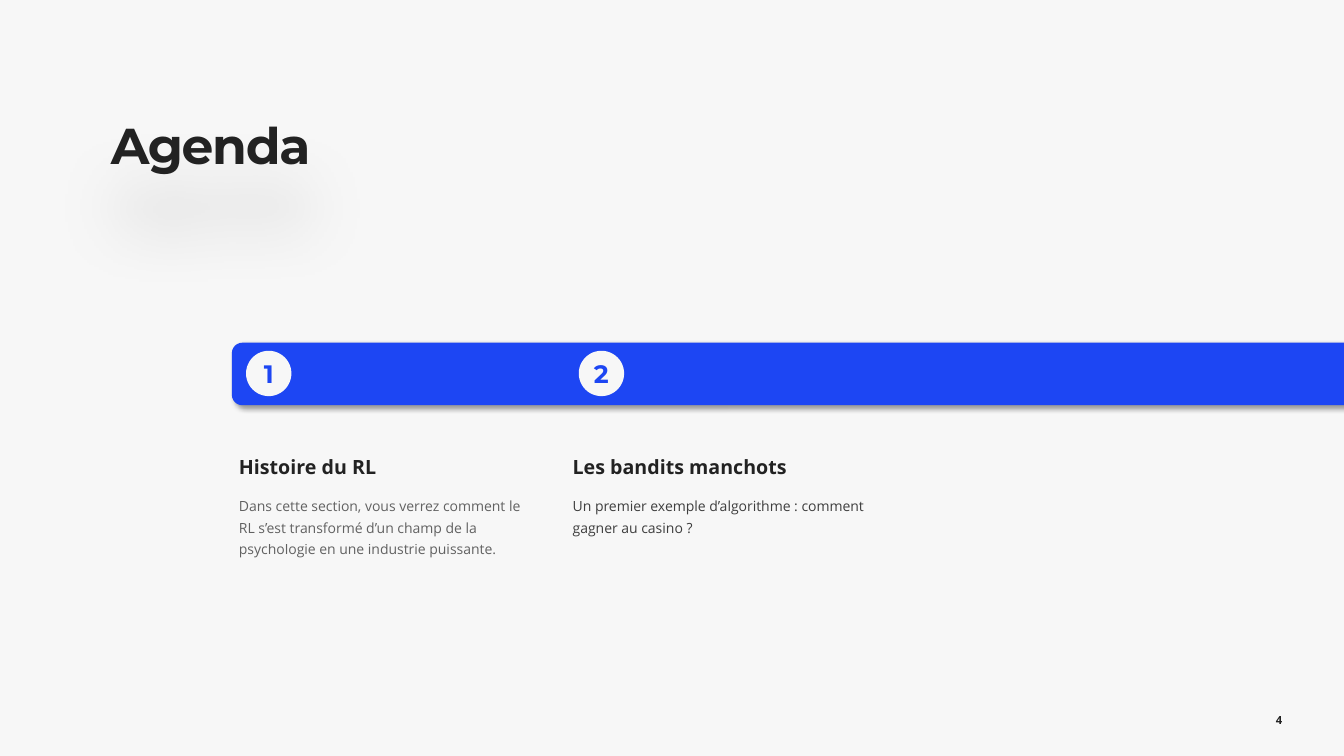
from lxml import etree
from pptx import Presentation
from pptx.dml.color import RGBColor
from pptx.enum.shapes import MSO_SHAPE
from pptx.enum.text import MSO_ANCHOR, MSO_AUTO_SIZE, PP_ALIGN
from pptx.oxml import parse_xml
from pptx.oxml.ns import nsdecls, qn
from pptx.util import Inches, Pt

ROUNDED, OVAL = MSO_SHAPE.ROUNDED_RECTANGLE, MSO_SHAPE.OVAL
TOP, MIDDLE = MSO_ANCHOR.TOP, MSO_ANCHOR.MIDDLE
CENTER, LEFT = PP_ALIGN.CENTER, PP_ALIGN.LEFT
FIT_SHAPE, NO_FIT = MSO_AUTO_SIZE.SHAPE_TO_FIT_TEXT, MSO_AUTO_SIZE.NONE

PAPER = RGBColor(0xF7, 0xF7, 0xF7)
INK = RGBColor(0x22, 0x22, 0x22)
GREY = RGBColor(0x3E, 0x3E, 0x3E)
BLUE = RGBColor(0x1D, 0x46, 0xF3)
HEADING_FONT, BODY_FONT = "Montserrat", "Open Sans"


def set_font(para, name, size, color, bold):
    font = para.font
    font.name, font.size, font.bold = name, Pt(size), bold
    font.color.rgb = color


def add_shadow(shape, blur, distance, degrees, opacity):
    """Blur and distance are in points, opacity in percent."""
    properties = shape._element.spPr
    for effects in properties.findall(qn("a:effectLst")):
        properties.remove(effects)
    properties.append(parse_xml(
        f'<a:effectLst {nsdecls("a")}><a:outerShdw blurRad="{Pt(blur)}" dist="{Pt(distance)}" '
        f'dir="{degrees * 60000}" algn="tl" rotWithShape="0"><a:srgbClr val="000000">'
        f'<a:alpha val="{opacity * 1000}"/></a:srgbClr></a:outerShdw></a:effectLst>'))


deck = Presentation()
deck.slide_width, deck.slide_height = Inches(13.33), Inches(7.5)
page = deck.slides.add_slide(deck.slide_layouts[5])
page.background.fill.solid()
page.background.fill.fore_color.rgb = PAPER

# Title
title = page.shapes.title
title.left, title.top = Inches(1.1), Inches(1.04)
title.width, title.height = Inches(11.13), Inches(1.37)
frame = title.text_frame
frame.text = "Agenda"
frame.auto_size, frame.vertical_anchor = NO_FIT, TOP
frame.margin_left = frame.margin_right = frame.margin_bottom = 0
frame.margin_top = Inches(0.21)
para = frame.paragraphs[0]
para.alignment, para.line_spacing = LEFT, 0.8
set_font(para, HEADING_FONT, 36, INK, True)
para.runs[0].font._element.set("spc", "-100")
add_shadow(title, 50, 40, 90, 20)

# Timeline bar, running off the right edge
bar = page.shapes.add_shape(ROUNDED, Inches(2.3), Inches(3.4), Inches(11.13), Inches(0.62))
bar.fill.solid()
bar.fill.fore_color.rgb = BLUE
bar.line.fill.background()
add_shadow(bar, 4, 3, 45, 40)

# Numbered sections: circle left, text left, heading, description, colour, opacity
sections = [
    (2.44, 2.37, "Histoire du RL",
     "Dans cette section, vous verrez comment le RL s’est transformé d’un champ de la "
     "psychologie en une industrie puissante.", INK, 70, 1.16),
    (5.74, 5.68, "Les bandits manchots",
     "Un premier exemple d’algorithme : comment gagner au casino ?", GREY, 100, 0.95),
]
for number, section in enumerate(sections, start=1):
    circle_left, text_left, heading, description, color, opacity, height = section

    circle = page.shapes.add_shape(OVAL, Inches(circle_left), Inches(3.48),
                                   Inches(0.45), Inches(0.45))
    circle.shadow.inherit = False
    circle.fill.solid()
    circle.fill.fore_color.rgb = PAPER
    circle.line.fill.background()
    frame = circle.text_frame
    frame.text = str(number)
    frame.vertical_anchor, frame.word_wrap = MIDDLE, False
    frame.margin_left = frame.margin_right = frame.margin_top = frame.margin_bottom = 0
    frame.paragraphs[0].alignment = CENTER
    set_font(frame.paragraphs[0], HEADING_FONT, 18, BLUE, True)

    box = page.shapes.add_textbox(Inches(text_left), Inches(4.4), Inches(3.19), Inches(height))
    frame = box.text_frame
    frame.word_wrap, frame.auto_size = True, FIT_SHAPE
    frame.margin_left, frame.margin_right = 0, Inches(0.24)
    frame.margin_top = frame.margin_bottom = Inches(0.04)
    frame.text = heading
    head = frame.paragraphs[0]
    body = frame.add_paragraph()
    body.text = description
    body.space_before = Pt(10)
    head.line_spacing = body.line_spacing = 1.3
    set_font(head, BODY_FONT, 14, INK, True)
    set_font(body, BODY_FONT, 10, color, False)
    if opacity < 100:
        tint = body.font._element.find(".//" + qn("a:srgbClr"))
        etree.SubElement(tint, qn("a:alpha"), val=str(opacity * 1000))

# Page number
box = page.shapes.add_textbox(Inches(12.23), Inches(6.94), Inches(0.91), Inches(0.4))
frame = box.text_frame
frame.text = "4"
frame.word_wrap, frame.vertical_anchor = True, MIDDLE
frame.paragraphs[0].alignment = CENTER
set_font(frame.paragraphs[0], BODY_FONT, 8, INK, True)

deck.save("out.pptx")
